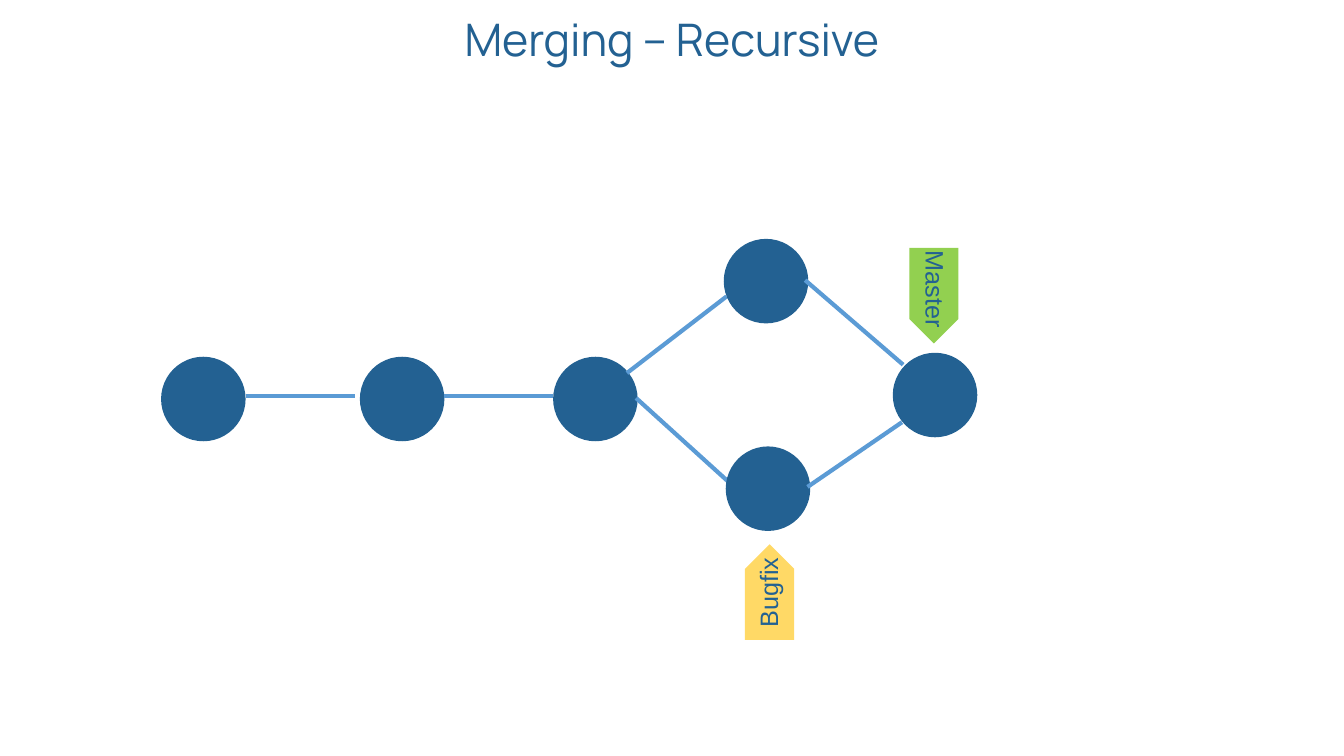
"""Build the slide showing a recursive merge of two branches."""
from pptx import Presentation
from pptx.dml.color import RGBColor
from pptx.enum.shapes import MSO_CONNECTOR, MSO_SHAPE
from pptx.enum.text import MSO_ANCHOR, MSO_AUTO_SIZE, PP_ALIGN
from pptx.oxml.ns import qn
from pptx.util import Cm, Pt

CIRCLE, PENTAGON = MSO_SHAPE.OVAL, MSO_SHAPE.PENTAGON
STRAIGHT = MSO_CONNECTOR.STRAIGHT
TOP, NO_FIT, FIT = MSO_ANCHOR.TOP, MSO_AUTO_SIZE.NONE, MSO_AUTO_SIZE.SHAPE_TO_FIT_TEXT
LEFT, CENTER = PP_ALIGN.LEFT, PP_ALIGN.CENTER

HEADING = "Merging – Recursive"
TRUNK_COMMITS = [(4.06, 8.99), (9.07, 8.99), (13.94, 8.99)]
BRANCH_COMMITS = [(18.29, 11.25), (18.24, 6.02)]
MERGE_COMMITS = [(22.5, 8.89)]
HISTORY_LINKS = [
    (6.2, 9.98, 8.94, 9.98),
    (11.2, 9.98, 13.94, 9.98),
    (16.03, 10.03, 18.39, 12.17),
    (15.8, 9.4, 18.31, 7.47),
]
MERGE_LINKS = [(20.29, 7.06, 22.76, 9.19), (20.35, 12.27, 22.73, 10.64)]
BRANCH_TAGS = [
    {"name": "Master", "color": "master", "turn": 90,
     "tag": (22.33, 6.83, 2.41, 1.24), "label": (22.3, 6.83, 2.46, 0.94)},
    {"name": "Bugfix", "color": "bugfix", "turn": 270,
     "tag": (18.19, 14.3, 2.41, 1.24), "label": (18.26, 14.45, 2.29, 0.94)},
]
COMMIT_SIZE = 2.13
THEME = {
    "commit": RGBColor.from_string("236192"),
    "link": RGBColor.from_string("5B9BD5"),
    "master": RGBColor.from_string("92D050"),
    "bugfix": RGBColor.from_string("FFD966"),
    "link_width": Pt(3),
    "heading": {"name": "Manrope", "size": Pt(32), "bold": False},
    "label": {"name": "Arial", "size": Pt(18), "bold": False},
}


def apply_format(target, values):
    for attribute, value in values.items():
        setattr(target, attribute, value)


def write_text(holder, words, font_style, frame_format, alignment):
    frame = holder.text_frame
    frame.text = words
    apply_format(frame, frame_format)
    paragraph = frame.paragraphs[0]
    apply_format(paragraph, {"alignment": alignment, "line_spacing": 0.9, "space_before": Pt(0)})
    apply_format(paragraph.runs[0].font, THEME[font_style])
    paragraph.runs[0].font.color.rgb = THEME["commit"]


def add_solid(slide, outline, bounds, color):
    solid = slide.shapes.add_shape(outline, *map(Cm, bounds))
    solid.shadow.inherit = False
    solid.fill.solid()
    solid.fill.fore_color.rgb = THEME[color]
    solid.line.fill.background()
    return solid


def add_commits(slide, corners):
    for corner in corners:
        add_solid(slide, CIRCLE, (*corner, COMMIT_SIZE, COMMIT_SIZE), "commit")


def add_links(slide, links):
    for ends in links:
        link = slide.shapes.add_connector(STRAIGHT, *map(Cm, ends))
        link.line.color.rgb = THEME["link"]
        link.line.width = THEME["link_width"]
        properties = link._element.spPr
        properties.append(properties.makeelement(qn("a:effectLst"), {}))


def add_branch_tag(slide, branch):
    tag = add_solid(slide, PENTAGON, branch["tag"], branch["color"])
    label = slide.shapes.add_textbox(*map(Cm, branch["label"]))
    write_text(label, branch["name"], "label", {"word_wrap": False, "auto_size": FIT}, LEFT)
    for part in (tag, label):
        part.rotation = branch["turn"]


def main():
    deck = Presentation()
    apply_format(deck, {"slide_width": Cm(33.87), "slide_height": Cm(19.05)})
    slide = deck.slides.add_slide(deck.slide_layouts[5])

    title = slide.shapes.title
    apply_format(title, {"left": Cm(0), "top": Cm(0.33), "width": Cm(33.87), "height": Cm(1.5)})
    title_format = {"word_wrap": True, "auto_size": NO_FIT, "vertical_anchor": TOP}
    write_text(title, HEADING, "heading", title_format, CENTER)

    add_commits(slide, TRUNK_COMMITS)
    add_links(slide, HISTORY_LINKS)
    add_commits(slide, BRANCH_COMMITS)
    for branch in BRANCH_TAGS:
        add_branch_tag(slide, branch)
    add_commits(slide, MERGE_COMMITS)
    add_links(slide, MERGE_LINKS)
    deck.save("out.pptx")


if __name__ == "__main__":
    main()
